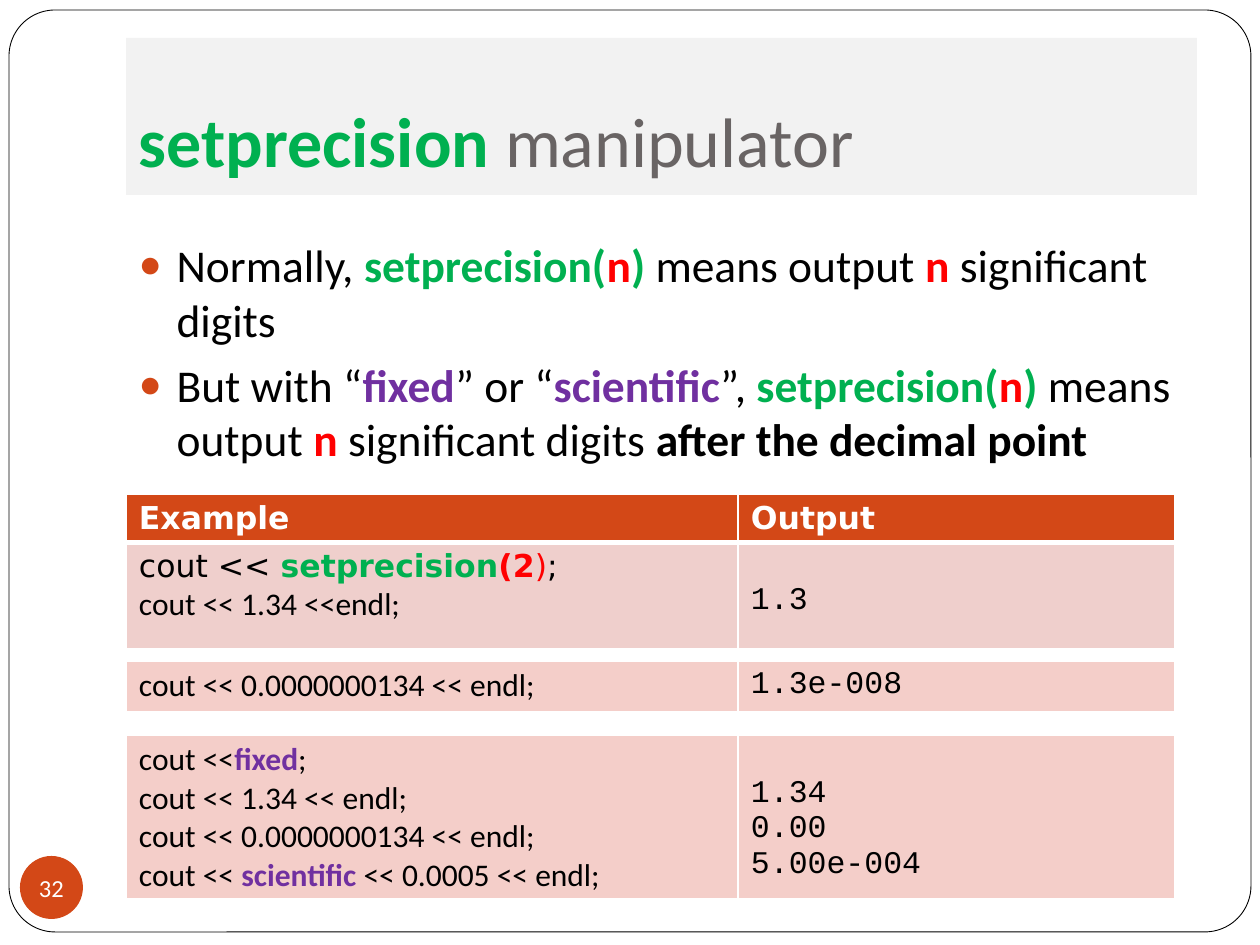
from dataclasses import dataclass
from lxml.etree import SubElement
from pptx import Presentation
from pptx.dml.color import RGBColor
from pptx.enum.shapes import MSO_SHAPE
from pptx.enum.text import MSO_ANCHOR, MSO_AUTO_SIZE, PP_ALIGN
from pptx.oxml import parse_xml
from pptx.oxml.ns import nsdecls, qn
from pptx.util import Pt


@dataclass(frozen=True)
class Theme:
    ink: str = "000000"
    paper: str = "FFFFFF"
    accent: str = "D34817"
    band: str = "F2F2F2"
    gray: str = "696464"
    green: str = "00B050"
    red: str = "FF0000"
    purple: str = "7030A0"
    rose: str = "EFCFCC"
    pink: str = "F4CEC9"
    sans: str = "Calibri"
    wide: str = "DejaVu Sans"
    mono: str = "Courier New"
    head: int = 40
    body: int = 26
    cell: int = 18
    note: int = 14


T = Theme()
SCALE = 914400 / 126
LEFT = 126
COLS = (612, 437)


def px(n):
    return round(n * SCALE)


def rgb(code):
    return RGBColor.from_string(code)


def key(text, color=T.green):
    return text, color, True


def write(frame, lines, size=T.cell, font=T.sans, color=T.ink, bold=False,
          align=PP_ALIGN.LEFT):
    for line in lines:
        para = frame.paragraphs[-1]
        if para.runs:
            para = frame.add_paragraph()
        para.alignment = align
        for part in [line] if isinstance(line, str) else line:
            text, tint, heavy = (part, color, bold) if isinstance(part, str) else part
            run = para.add_run()
            run.text = text
            run.font.name = font
            run.font.size = Pt(size)
            run.font.bold = heavy
            run.font.color.rgb = rgb(tint)


def place(shape, left, top, width, height):
    shape.left, shape.top = px(left), px(top)
    shape.width, shape.height = px(width), px(height)


def inset(item, left=0, top=0, right=0, bottom=0):
    item.margin_left, item.margin_top = px(left), px(top)
    item.margin_right, item.margin_bottom = px(right), px(bottom)


def shape(slide, kind, box, fill, line=None):
    item = slide.shapes.add_shape(kind, *map(px, box))
    item.shadow.inherit = False
    item.fill.solid()
    item.fill.fore_color.rgb = rgb(fill)
    if line:
        item.line.color.rgb = rgb(line)
        item.line.width = Pt(0.5)
    else:
        item.line.fill.background()
    return item


def frame(slide):
    item = shape(slide, MSO_SHAPE.ROUNDED_RECTANGLE, (9, 10, 1242, 922), T.paper, T.ink)
    item.adjustments[0] = 0.05
    slide.shapes._spTree.insert(2, item._element)


def badge(slide, text):
    item = shape(slide, MSO_SHAPE.OVAL, (20, 856, 63, 63), T.accent)
    item.text_frame.word_wrap = False
    item.text_frame.vertical_anchor = MSO_ANCHOR.MIDDLE
    inset(item.text_frame)
    write(item.text_frame, [text], size=T.note, color=T.paper, align=PP_ALIGN.CENTER)


def title(slide, line):
    item = slide.shapes.title
    place(item, LEFT, 38, 1071, 157)
    item.fill.solid()
    item.fill.fore_color.rgb = rgb(T.band)
    text = item.text_frame
    text.auto_size = MSO_AUTO_SIZE.NONE
    text.vertical_anchor = MSO_ANCHOR.BOTTOM
    inset(text, 13, 6, 13, 13)
    write(text, [line], size=T.head, color=T.gray)


def bullet(para):
    para.space_before = Pt(5.8)
    props = para._p.get_or_add_pPr()
    props.set("marL", str(px(38)))
    props.set("indent", str(px(-38)))
    tint = SubElement(props, qn("a:buClr"))
    SubElement(tint, qn("a:srgbClr"), val=T.accent)
    SubElement(props, qn("a:buSzPct"), val="85000")
    SubElement(props, qn("a:buChar"), char="●")


def points(slide, lines):
    item = slide.placeholders[1]
    place(item, LEFT, 231, 1071, 252)
    item.text_frame.auto_size = MSO_AUTO_SIZE.NONE
    write(item.text_frame, lines, size=T.body)
    for para in item.text_frame.paragraphs:
        bullet(para)


def border(cell, foot):
    props = cell._tc.get_or_add_tcPr()
    for spot, (side, width) in enumerate(zip("LRTB", (1, 1, 1, foot))):
        props.insert(spot, parse_xml(
            f'<a:ln{side} {nsdecls("a")} w="{Pt(width)}"><a:solidFill>'
            f'<a:srgbClr val="{T.paper}"/></a:solidFill></a:ln{side}>'))


def table(slide, top, rows, fills):
    item = slide.shapes.add_table(len(rows), len(COLS), px(LEFT), px(top),
                                  px(sum(COLS)), px(sum(rows)))
    grid = item.table
    grid.horz_banding = False
    for col, width in zip(grid.columns, COLS):
        col.width = px(width)
    for row, height, fill in zip(grid.rows, rows, fills):
        row.height = px(height)
        for cell in row.cells:
            inset(cell, 13, 6, 13, 6)
            cell.fill.solid()
            cell.fill.fore_color.rgb = rgb(fill)
            border(cell, 3 if row is grid.rows[0] or fill != T.rose else 1)
    return grid


def output(cell, lines, drop=6):
    cell.margin_top = px(drop)
    write(cell.text_frame, lines, font=T.mono)


def main():
    deck = Presentation()
    deck.slide_width, deck.slide_height = px(1260), px(945)
    slide = deck.slides.add_slide(deck.slide_layouts[1])
    frame(slide)
    title(slide, [key("setprecision "), "manipulator"])
    badge(slide, "32")

    count = key("n", T.red)
    call = [key("setprecision("), count, key(")")]
    points(slide, [
        ["Normally, ", *call, " means output ", count, " significant digits"],
        ["But with “", key("fixed", T.purple), "” or “", key("scientific", T.purple),
         "”, ", *call, " means output ", count, " significant digits ",
         key("after the decimal point", T.ink)],
    ])

    grid = table(slide, 494, (48, 106), (T.accent, T.rose))
    for cell, name in zip(grid.rows[0].cells, ("Example", "Output")):
        write(cell.text_frame, [name], font=T.wide, color=T.paper, bold=True)
    code = grid.cell(1, 0).text_frame
    write(code, [["cout << ", key("setprecision"), key("(2", T.red),
                  (")", T.red, False), ";"]], font=T.wide)
    write(code, ["cout << 1.34 <<endl;"])
    output(grid.cell(1, 1), ["1.3"], drop=41)

    grid = table(slide, 735, (164,), (T.pink,))
    write(grid.cell(0, 0).text_frame, [
        ["cout <<", key("fixed", T.purple), ";"],
        "cout << 1.34 << endl;",
        "cout << 0.0000000134 << endl;",
        ["cout << ", key("scientific ", T.purple), "<< 0.0005 << endl;"],
    ])
    output(grid.cell(0, 1), ["1.34", "0.00", "5.00e-004"], drop=41)

    grid = table(slide, 661, (52,), (T.pink,))
    write(grid.cell(0, 0).text_frame, ["cout << 0.0000000134 << endl;"])
    output(grid.cell(0, 1), ["1.3e-008"])

    deck.save("out.pptx")


if __name__ == "__main__":
    main()
